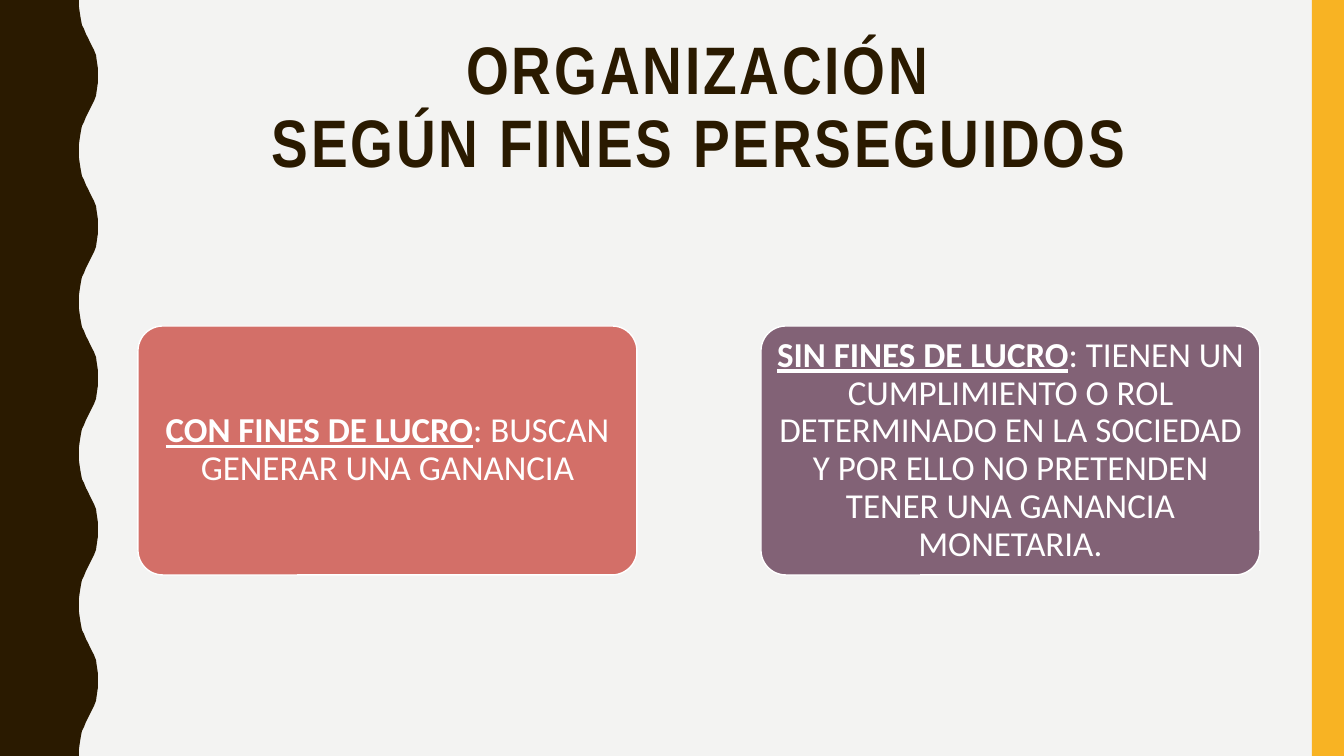
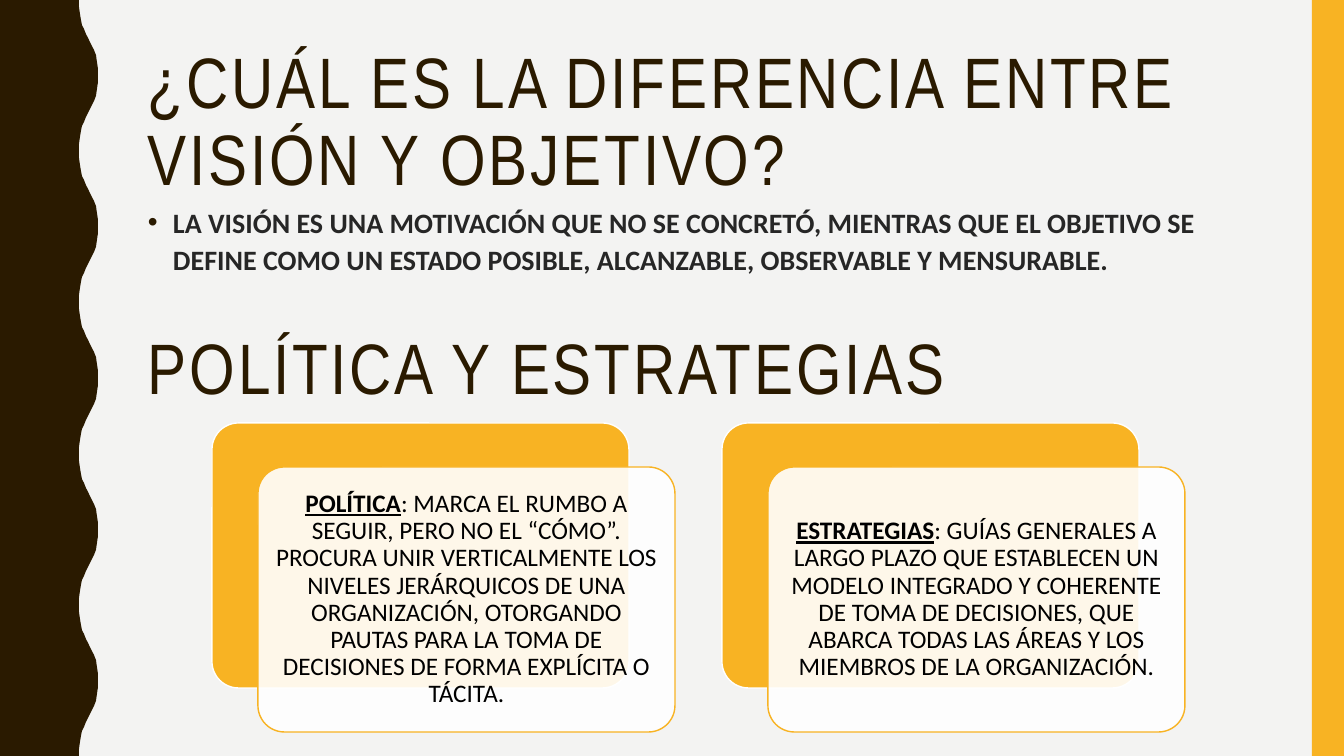
import pptx
import pptx.dml.color
import pptx.enum.shapes
import pptx.enum.text
import pptx.oxml.ns
import pptx.util
from dataclasses import dataclass
from lxml import etree

PX = 914400 / 100.8
WIDTH, HEIGHT = 1344, 756


@dataclass(frozen=True)
class Theme:
    paper: str = "F3F3F2"
    dark: str = "2A1A00"
    amber: str = "F8B323"
    coral: str = "D36F68"
    plum: str = "826276"
    white: str = "FFFFFF"
    black: str = "000000"
    body: str = "262626"
    heading_font: str = "Arial Narrow"
    text_font: str = "Calibri"
    centred_title_size: int = 48
    title_size: int = 51
    large_card_size: int = 25
    body_size: int = 20
    small_card_size: int = 18


THEME = Theme()
SHAPES = pptx.enum.shapes.MSO_SHAPE
ALIGN = pptx.enum.text.PP_ALIGN
ANCHOR = pptx.enum.text.MSO_ANCHOR
rgb = pptx.dml.color.RGBColor.from_string
qn = pptx.oxml.ns.qn


def add_block(slide, box, kind=None, fill=None, line=None, opacity=100):
    """Add a preset shape, or a text box when no kind is given; box is in px."""
    place = [round(length * PX) for length in box]
    if kind is None:
        return slide.shapes.add_textbox(*place)
    block = slide.shapes.add_shape(kind, *place)
    block.shadow.inherit = False
    if kind == SHAPES.ROUNDED_RECTANGLE:
        block.adjustments[0] = 0.1
    block.fill.solid()
    block.fill.fore_color.rgb = rgb(fill)
    if opacity < 100:
        colour = block.fill._xPr.find(qn("a:solidFill"))[0]
        etree.SubElement(colour, qn("a:alpha"), val=str(opacity * 1000))
    if line:
        block.line.color.rgb = rgb(line)
        block.line.width = pptx.util.Pt(1)
    else:
        block.line.fill.background()
    return block


def write_text(block, text, lead="", size=18, font=THEME.text_font, color=THEME.black,
               bold=False, tracking=0, align=ALIGN.LEFT, anchor=ANCHOR.TOP,
               spacing=0.9, insets=(10, 5), bullet=None):
    """Write one paragraph; lead is an underlined bold opening, insets are in px."""
    frame = block.text_frame
    frame.word_wrap = True
    frame.vertical_anchor = anchor
    frame.margin_left = frame.margin_right = round(insets[0] * PX)
    frame.margin_top = frame.margin_bottom = round(insets[1] * PX)
    paragraph = frame.paragraphs[0]
    paragraph.alignment = align
    paragraph.line_spacing = spacing
    if bullet:
        properties = paragraph._p.get_or_add_pPr()
        indent = round(25 * PX)
        properties.set("marL", str(indent))
        properties.set("indent", str(-indent))
        bullet_color = etree.SubElement(properties, qn("a:buClr"))
        etree.SubElement(bullet_color, qn("a:srgbClr"), val=THEME.dark)
        etree.SubElement(properties, qn("a:buFont"), typeface="Arial")
        etree.SubElement(properties, qn("a:buChar"), char=bullet)
    pieces = [(lead, True)] if lead else []
    pieces += [(row, False) for row in text.split("\n")]
    for index, (words, is_lead) in enumerate(pieces):
        if index and not pieces[index - 1][1]:
            paragraph.add_line_break()
        run = paragraph.add_run()
        run.text = words
        run.font.size = pptx.util.Pt(size)
        run.font.name = font
        run.font.color.rgb = rgb(color)
        run.font.bold = bold or is_lead
        run.font.underline = is_lead
        if tracking:
            run.font._element.set("spc", str(tracking * 100))


presentation = pptx.Presentation()
presentation.slide_width = round(WIDTH * PX)
presentation.slide_height = round(HEIGHT * PX)
background = presentation.slide_master.background.fill
background.solid()
background.fore_color.rgb = rgb(THEME.paper)

# The wavy edge repeats one swell, mirrored about its crest, five times.
SWELLS = 5
swell_height = HEIGHT / SWELLS
rise = [(79, 0), (79, 7), (80, 14), (81, 20), (82, 25), (84, 29), (86, 34), (88, 38),
        (90, 42), (92, 46), (94, 50), (96, 55), (97, 62), (98, 69), (98, 76)]
swell = rise + [(x, swell_height - y) for x, y in reversed(rise[:-1])]
wave = [(x, y + number * swell_height) for number in range(SWELLS) for x, y in swell]

blank = presentation.slide_layouts[6]
purposes, policies = [presentation.slides.add_slide(blank) for _ in range(2)]
for slide in (purposes, policies):
    outline = slide.shapes.build_freeform(0, 0, scale=PX)
    outline.add_line_segments(wave + [(0, HEIGHT)], close=True)
    edge = outline.convert_to_shape()
    edge.shadow.inherit = False
    edge.fill.solid()
    edge.fill.fore_color.rgb = rgb(THEME.dark)
    edge.line.fill.background()
    add_block(slide, (1312, 0, 32, HEIGHT), SHAPES.RECTANGLE, THEME.amber)

LEFT, CONTENT_WIDTH = 138, 1122
heading = dict(font=THEME.heading_font, color=THEME.dark, tracking=2)
card = dict(align=ALIGN.CENTER, anchor=ANCHOR.MIDDLE)

# Slide 1: organisations by purpose
write_text(add_block(purposes, (LEFT, 36, CONTENT_WIDTH, 146)),
           "ORGANIZACIÓN\nSEGÚN FINES PERSEGUIDOS", size=THEME.centred_title_size,
           bold=True, **heading, **card)
purpose_cards = [
    (THEME.coral, "CON FINES DE LUCRO", ": BUSCAN GENERAR UNA GANANCIA"),
    (THEME.plum, "SIN FINES DE LUCRO",
     ": TIENEN UN CUMPLIMIENTO O ROL DETERMINADO EN LA SOCIEDAD Y POR ELLO NO "
     "PRETENDEN TENER UNA GANANCIA MONETARIA."),
]
for column, (fill, lead, text) in enumerate(purpose_cards):
    purpose = add_block(purposes, (LEFT + column * 623, 326, 499, 249),
                        SHAPES.ROUNDED_RECTANGLE, fill, THEME.white)
    write_text(purpose, text, lead, size=THEME.large_card_size, color=THEME.white,
               insets=(5, 3), **card)

# Slide 2: vision and objective, policy and strategies
for top, title in [(42, "¿CUÁL ES LA DIFERENCIA ENTRE VISIÓN Y OBJETIVO?"),
                   (328, "POLÍTICA Y ESTRATEGIAS")]:
    write_text(add_block(policies, (LEFT, top, CONTENT_WIDTH, 164)), title,
               size=THEME.title_size, **heading)
policy_cards = [
    ("POLÍTICA",
     ": MARCA EL RUMBO A SEGUIR, PERO NO EL “CÓMO”. PROCURA UNIR VERTICALMENTE LOS "
     "NIVELES JERÁRQUICOS DE UNA ORGANIZACIÓN, OTORGANDO PAUTAS PARA LA TOMA DE "
     "DECISIONES DE FORMA EXPLÍCITA O TÁCITA."),
    ("ESTRATEGIAS",
     ": GUÍAS GENERALES A LARGO PLAZO QUE ESTABLECEN UN MODELO INTEGRADO Y COHERENTE "
     "DE TOMA DE DECISIONES, QUE ABARCA TODAS LAS ÁREAS Y LOS MIEMBROS DE LA "
     "ORGANIZACIÓN."),
]
for column, (lead, text) in enumerate(policy_cards):
    left, top, width, height = 212 + column * 510, 423, 417, 265
    add_block(policies, (left, top, width, height),
              SHAPES.ROUNDED_RECTANGLE, THEME.amber, THEME.white)
    definition = add_block(policies, (left + 46, top + 44, width, height),
                           SHAPES.ROUNDED_RECTANGLE, THEME.white, THEME.amber, opacity=90)
    write_text(definition, text, lead, size=THEME.small_card_size, insets=(7, 7), **card)
write_text(add_block(policies, (LEFT, 197, CONTENT_WIDTH, 143)),
           "LA VISIÓN ES UNA MOTIVACIÓN QUE NO SE CONCRETÓ, MIENTRAS QUE EL OBJETIVO SE "
           "DEFINE COMO UN ESTADO POSIBLE, ALCANZABLE, OBSERVABLE Y MENSURABLE.",
           size=THEME.body_size, color=THEME.body, bold=True, spacing=1.1, bullet="•")

presentation.save("out.pptx")
